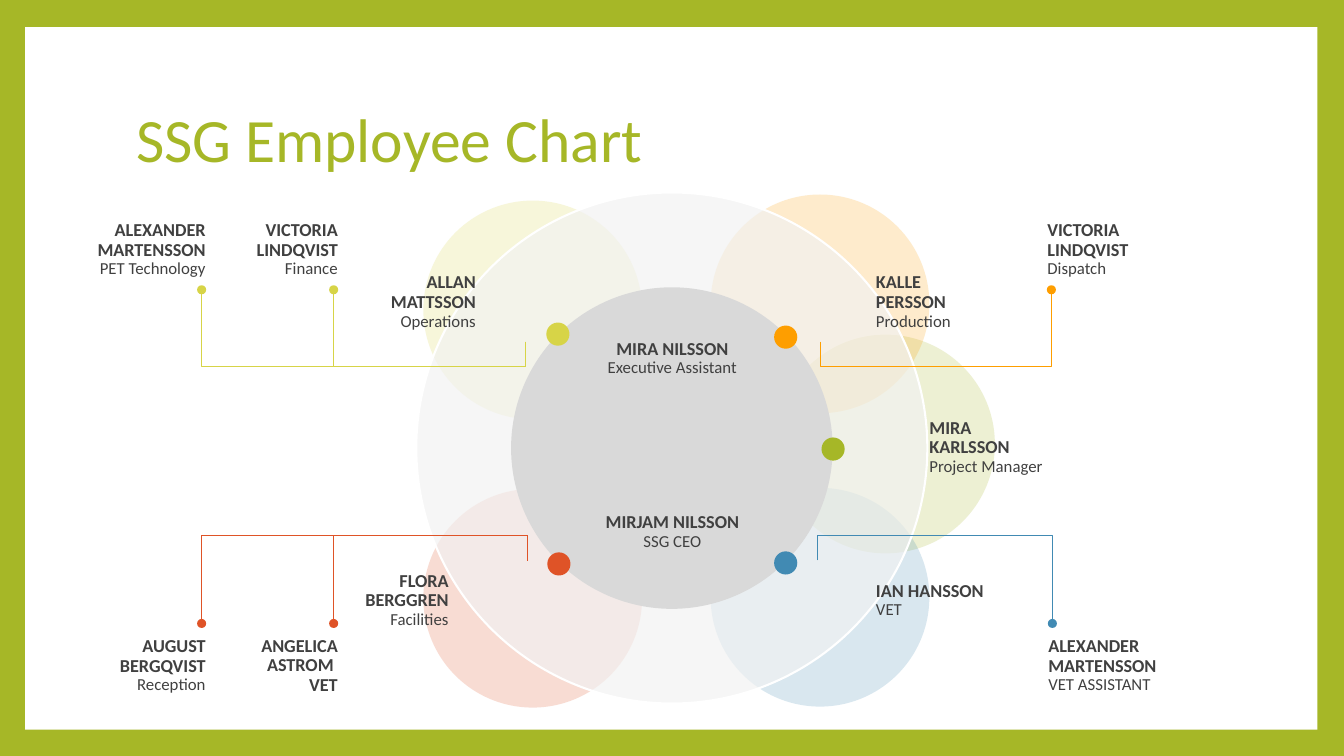
from collections import namedtuple

from lxml.etree import SubElement
from pptx import Presentation
from pptx.dml.color import RGBColor
from pptx.enum.shapes import MSO_CONNECTOR as Connector, MSO_SHAPE as Shape
from pptx.enum.text import MSO_ANCHOR as Anchor, PP_ALIGN as Align
from pptx.oxml.ns import qn
from pptx.util import Inches, Pt

COLORS = {
    "green": "A6B727", "lime": "D7D447", "orange": "FE9E00",
    "blue": "418AB3", "red": "DF5327", "white": "FFFFFF",
    "ring": "F2F2F2", "core": "D9D9D9", "text": "404040",
}
FONT = "Calibri"
COLUMNS, ROWS = 133.33, 75
PETAL, LEAD_DOT, TIP_DOT, STUB = 21.7, 2.3, 0.9, 2.5
Box = namedtuple("Box", "left top width height")


def grid(cells):
    """Turn grid cells of a tenth of an inch into a length."""
    return Inches(cells / 10)


def color(name):
    """Look up a colour by its name."""
    return RGBColor.from_string(COLORS[name])


def add_filled(slide, kind, box, fill, opacity=100, outline=None):
    """Draw a flat shape, with optional transparency and outline."""
    shape = slide.shapes.add_shape(kind, *map(grid, box))
    shape.shadow.inherit = False
    shape.fill.solid()
    shape.fill.fore_color.rgb = color(fill)
    if opacity < 100:
        tint = shape.fill._xPr.find(qn("a:solidFill"))[0]
        SubElement(tint, qn("a:alpha"), val=str(opacity * 1000))
    if outline:
        shape.line.color.rgb = color(outline)
        shape.line.width = Pt(1.5)
    else:
        shape.line.fill.background()


def add_label(slide, box, name, role, align, anchor=Anchor.MIDDLE):
    """Write a bold name, and a role on the line below it."""
    frame = slide.shapes.add_textbox(*map(grid, box)).text_frame
    frame.word_wrap = True
    frame.vertical_anchor = anchor
    frame.margin_left = frame.margin_right = 0
    frame.margin_top = frame.margin_bottom = 0
    para = frame.paragraphs[0]
    para.alignment = align
    para.line_spacing = 0.9
    para.space_after = Pt(4.5)
    lines = [(line, 13, True) for line in name.split("\n")]
    if role:
        lines.append((role, 12, False))
    for index, (text, size, bold) in enumerate(lines):
        if index:
            para.add_line_break()
        span = para.add_run()
        span.text = text
        span.font.name = FONT
        span.font.size = Pt(size)
        span.font.bold = bold
        span.font.color.rgb = color("text")


def add_elbow(slide, start, end, tone):
    """Link two points by a bent line that first leaves away from the end."""
    rise, run = end[1] - start[1], end[0] - start[0]
    middle_x, middle_y = start[0] + run / 2, start[1] + rise / 2
    half_width = abs(rise) / 2
    half_height = run / 2 if rise < 0 else -run / 2
    line = slide.shapes.add_connector(
        Connector.ELBOW,
        grid(middle_x + half_width), grid(middle_y + half_height),
        grid(middle_x - half_width), grid(middle_y - half_height))
    line.line.color.rgb = color(tone)
    line.line.width = Pt(0.79)
    properties = line._element.spPr
    properties.find(qn("a:xfrm")).set("rot", str((90 if rise < 0 else 270) * 60000))
    guides = properties.find(qn("a:prstGeom")).find(qn("a:avLst"))
    bend = round(-STUB / abs(rise) * 100000)
    SubElement(guides, qn("a:gd"), name="adj1", fmla=f"val {bend}")
    SubElement(properties, qn("a:effectLst"))


def add_frame(slide, box):
    """Fill the page with green and lay a white panel on it."""
    slide.background.fill.solid()
    slide.background.fill.fore_color.rgb = color("green")
    add_filled(slide, Shape.RECTANGLE, box, "white")


def add_title(slide, box, text):
    """Place the title above the shapes drawn so far."""
    title = slide.shapes.title
    slide.shapes._spTree.append(title._element)
    title.left, title.top, title.width, title.height = map(grid, box)
    frame = title.text_frame
    frame.word_wrap = True
    frame.vertical_anchor = Anchor.MIDDLE
    para = frame.paragraphs[0]
    para.alignment = Align.LEFT
    para.line_spacing = 0.9
    span = para.add_run()
    span.text = text
    span.font.name = FONT
    span.font.size = Pt(44)
    span.font.color.rgb = color("green")


def add_circles(slide, box):
    """Draw the petals, the pale ring over them and the core."""
    petals = [("green", 35.7, 14.1), ("blue", 29.2, 29.3), ("orange", 29.2, 0.2),
              ("red", 0.7, 29.4), ("lime", 0.7, 0.8)]
    for tone, left, top in petals:
        petal = Box(box.left + left, box.top + top, PETAL, PETAL)
        add_filled(slide, Shape.OVAL, petal, tone, opacity=20)
    add_filled(slide, Shape.OVAL, box, "ring", opacity=68, outline="white")
    core = Box(box.left + 9.4, box.top + 9.4, 31.9, 31.9)
    add_filled(slide, Shape.OVAL, core, "core")


def add_leaders(slide, box):
    """Name the two heads in the core and the five leads around it."""
    head_left, head_width = box.left + 18.1, 14.6
    add_label(slide, Box(head_left, box.top + 14.6, head_width, 4.3),
              "MIRA NILSSON", "Executive Assistant", Align.CENTER, Anchor.TOP)
    add_label(slide, Box(head_left, box.top + 29.9, head_width, 7.5),
              "MIRJAM NILSSON", "SSG CEO", Align.CENTER)
    leads = [
        ("lime", 12.9, 12.9, -5.9, 7.9, 11.8, "ALLAN MATTSSON", "Operations", Align.RIGHT),
        ("orange", 35.5, 13.2, 45.6, 7.9, 16.3, "KALLE \nPERSSON", "Production", Align.LEFT),
        ("blue", 35.5, 35.6, 45.6, 37.5, 11.8, "IAN HANSSON", "VET", Align.LEFT),
        ("green", 40.2, 24.3, 50.9, 22.3, 11.8, "MIRA KARLSSON", "Project Manager", Align.LEFT),
        ("red", 13, 35.7, -8.6, 37.5, 11.8, "FLORA BERGGREN", "Facilities", Align.RIGHT),
    ]
    for tone, dot_left, dot_top, left, top, width, name, role, align in leads:
        dot = Box(box.left + dot_left, box.top + dot_top, LEAD_DOT, LEAD_DOT)
        add_filled(slide, Shape.OVAL, dot, tone)
        add_label(slide, Box(box.left + left, box.top + top, width, 5.9), name, role, align)


def add_team(slide, box, tone, upper, joint, members):
    """Link a lead to the members, named at the top or foot of the box."""
    joint_y = box.top + (box.height - STUB if upper else STUB)
    tip_y = box.top + (8.2 if upper else 8.3)
    dot_top = tip_y - TIP_DOT if upper else tip_y
    label_top = box.top + (0 if upper else 9.2)
    for tip, width, name, role in members:
        tip_x = box.left + tip
        leftward = tip < joint
        label_left = tip_x + 0.4 - width if leftward else tip_x - 0.4
        add_elbow(slide, (box.left + joint, joint_y), (tip_x, tip_y), tone)
        dot = Box(tip_x - TIP_DOT / 2, dot_top, TIP_DOT, TIP_DOT)
        add_filled(slide, Shape.OVAL, dot, tone)
        add_label(slide, Box(label_left, label_top, width, 7.5), name, role,
                  Align.RIGHT if leftward else Align.LEFT)


def main():
    """Build the employee chart and save it."""
    deck = Presentation()
    deck.slide_width, deck.slide_height = grid(COLUMNS), grid(ROWS)
    page = deck.slides.add_slide(deck.slide_layouts[5])
    hub = Box(41.3, 19.1, 50.7, 50.7)
    add_frame(page, Box(2.5, 2.7, 128.2, 69.7))
    add_circles(page, hub)
    add_title(page, Box(12.5, 6.7, 108, 14.8), "SSG Employee Chart")
    add_leaders(page, hub)
    add_team(page, Box(7.1, 21, 45, 15.4), "lime", True, 45, [
        (26, 11.8, "VICTORIA LINDQVIST", "Finance"),
        (12.9, 13.3, "ALEXANDER MARTENSSON", "PET Technology")])
    add_team(page, Box(7.1, 53.1, 45.2, 16.7), "red", False, 45.2, [
        (26, 11.8, "ANGELICA ASTROM \nVET", ""),
        (12.9, 11.8, "AUGUST BERGQVIST", "Reception")])
    add_team(page, Box(81.4, 21, 34.3, 15.4), "orange", True, 0, [
        (22.9, 11.8, "VICTORIA LINDQVIST ", "Dispatch")])
    add_team(page, Box(81.1, 53.1, 36.1, 16.7), "blue", False, 0, [
        (23.3, 13.3, "ALEXANDER MARTENSSON", "VET ASSISTANT")])
    deck.save("out.pptx")


if __name__ == "__main__":
    main()
